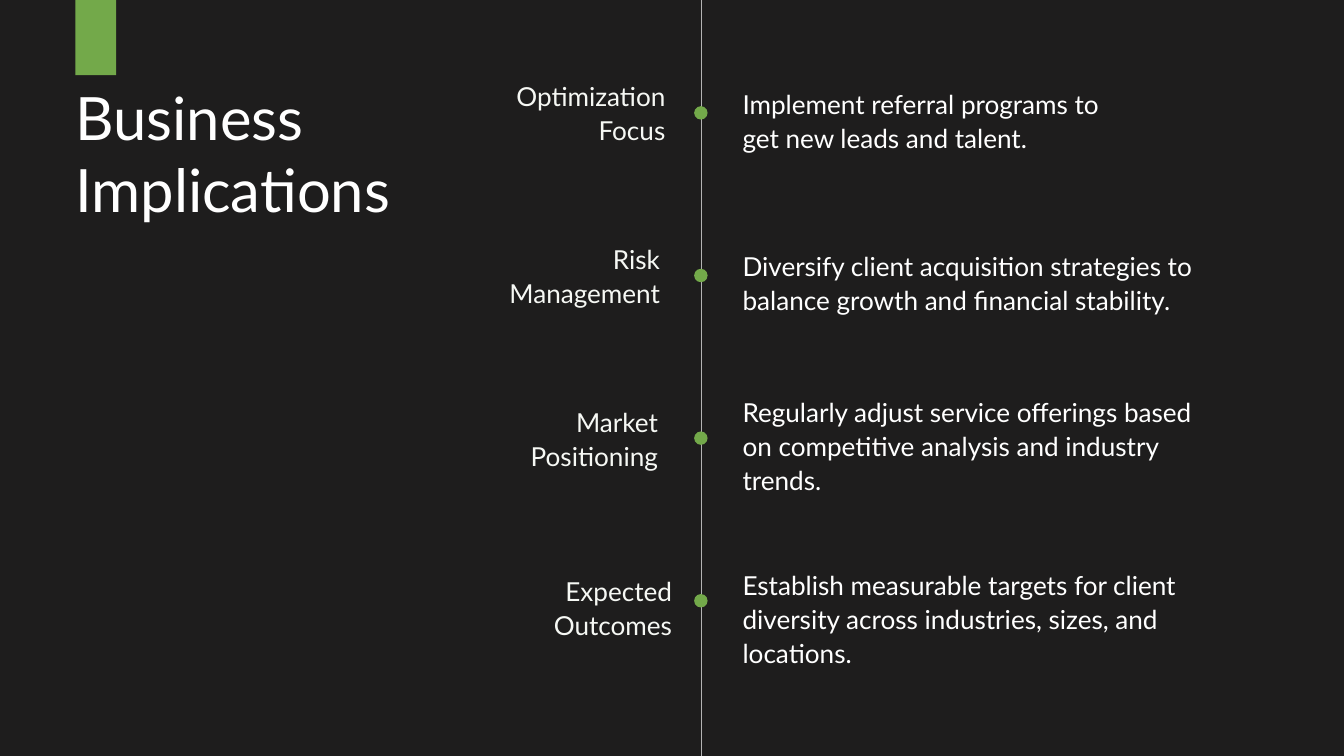
from lxml import etree
from pptx import Presentation
from pptx.dml.color import RGBColor
from pptx.enum import shapes, text
from pptx.oxml import ns
from pptx.util import Inches, Pt

COLORS = {
    "background": "1E1D1D",
    "accent": "73A94A",
    "line": "B4B4B4",
    "white": "FFFFFF",
    "label": "F6F8F4",
}
AXIS = 10.44
DOT_SIZE = 0.2
FIRST_DOT_TOP = 1.58
ROW_STEP = 2.42
DESCRIPTION_LEFT = 11.05


def add_text(content, box, size, spacing, color, align=text.PP_ALIGN.LEFT):
    shape = slide.shapes.add_textbox(*[Inches(value) for value in box])
    frame = shape.text_frame
    frame.word_wrap = True
    frame.margin_left = frame.margin_right = 0
    frame.margin_top = frame.margin_bottom = 0
    paragraph = frame.paragraphs[0]
    paragraph.text = content
    paragraph.alignment = align
    paragraph.line_spacing = Pt(spacing)
    paragraph.font.name = "Lato"
    paragraph.font.size = Pt(size)
    paragraph.font.color.rgb = RGBColor.from_string(COLORS[color])


def add_accent(kind, left, top, width, height):
    shape = slide.shapes.add_shape(
        kind, Inches(left), Inches(top), Inches(width), Inches(height)
    )
    shape.shadow.inherit = False
    shape.fill.solid()
    shape.fill.fore_color.rgb = RGBColor.from_string(COLORS["accent"])
    shape.line.fill.background()


presentation = Presentation()
presentation.slide_width = Inches(20)
presentation.slide_height = Inches(11.25)
slide = presentation.slides.add_slide(presentation.slide_layouts[6])
slide.background.fill.solid()
slide.background.fill.fore_color.rgb = RGBColor.from_string(COLORS["background"])

timeline = slide.shapes.add_connector(
    shapes.MSO_CONNECTOR.STRAIGHT,
    Inches(AXIS), 0, Inches(AXIS), presentation.slide_height,
)
timeline.line.width = Pt(0.75)
timeline.line.color.rgb = RGBColor.from_string(COLORS["line"])
etree.SubElement(timeline._element.spPr, ns.qn("a:effectLst"))

rows = [
    ("Optimization Focus", (7.42, 1.16, 2.48, 0.99),
     "Implement referral programs to get new leads and talent.",
     (1.27, 5.75, 0.99)),
    ("Risk Management", (7.42, 3.59, 2.4, 0.99),
     "Diversify client acquisition strategies to balance growth and financial stability.",
     (3.69, 6.91, 0.99)),
    ("Market Positioning", (7.31, 6.01, 2.48, 0.99),
     "Regularly adjust service offerings based on competitive analysis and industry trends.",
     (5.86, 6.91, 1.49)),
    ("Expected Outcomes", (7.16, 8.53, 2.84, 0.99),
     "Establish measurable targets for client diversity across industries, sizes, and locations.",
     (8.43, 7.15, 1.49)),
]
for index, (label, label_box, description, description_box) in enumerate(rows):
    add_accent(shapes.MSO_SHAPE.OVAL, 10.33, FIRST_DOT_TOP + index * ROW_STEP,
               DOT_SIZE, DOT_SIZE)
    add_text(description, (DESCRIPTION_LEFT, *description_box), 28, 36.4, "white")
    add_text(label, label_box, 28, 36.4, "label", text.PP_ALIGN.RIGHT)

add_text("Business Implications", (1.12, 1.2, 5.9, 2.12), 64, 76.8, "white")
add_accent(shapes.MSO_SHAPE.RECTANGLE, 1.12, 0, 0.61, 1.12)

presentation.save("out.pptx")
